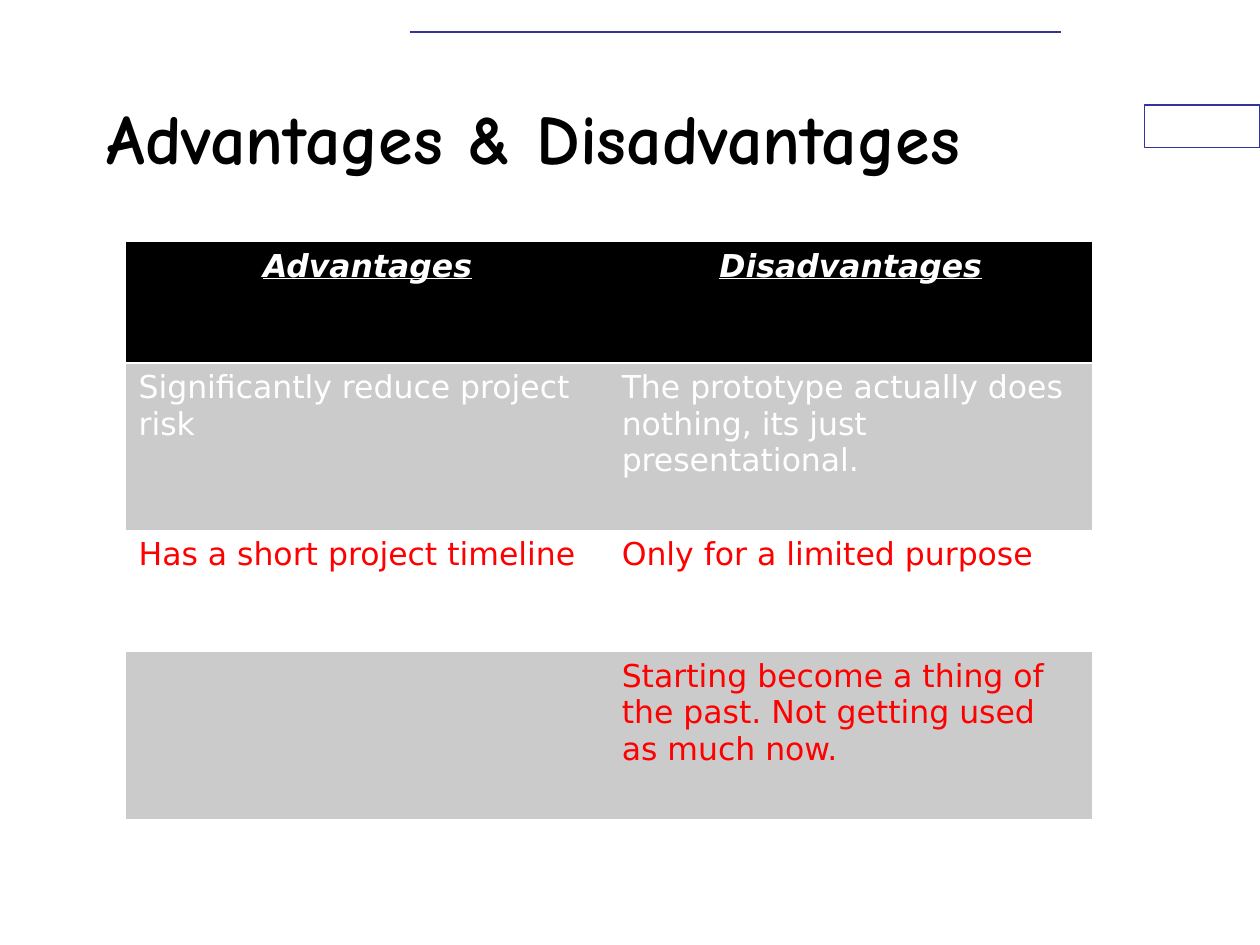
import pptx
import pptx.dml.color
import pptx.enum.shapes
import pptx.enum.text
import pptx.oxml
import pptx.oxml.ns
import pptx.util
from pptx.util import Cm

BLACK = pptx.dml.color.RGBColor(0x00, 0x00, 0x00)
WHITE = pptx.dml.color.RGBColor(0xFF, 0xFF, 0xFF)
GREY = pptx.dml.color.RGBColor(0xCB, 0xCB, 0xCB)
RED = pptx.dml.color.RGBColor(0xFF, 0x00, 0x00)
NAVY = pptx.dml.color.RGBColor(0x33, 0x33, 0x99)

PLAIN_TABLE_STYLE = "{2D5ABB26-0587-4C30-8999-92F81FD0307C}"
TITLE_FORMAT = {"name": "Comic Neue", "size": pptx.util.Pt(40), "bold": True}
HEADER_FORMAT = {"name": "DejaVu Sans", "size": pptx.util.Pt(18),
                 "bold": True, "italic": True, "underline": True}
BODY_FORMAT = {"name": "DejaVu Sans", "size": pptx.util.Pt(18)}

LEFT = pptx.enum.text.PP_ALIGN.LEFT
CENTER = pptx.enum.text.PP_ALIGN.CENTER

ROWS = [
    (("Advantages", "Disadvantages"), 2.45, BLACK, WHITE, HEADER_FORMAT, CENTER),
    (("Significantly reduce project risk",
      "The prototype actually does nothing, its just presentational."),
     3.37, GREY, WHITE, BODY_FORMAT, LEFT),
    (("Has a short project timeline", "Only for a limited purpose"),
     2.45, WHITE, RED, BODY_FORMAT, LEFT),
    (("", "Starting become a thing of the past. Not getting used as much now."),
     3.37, GREY, RED, BODY_FORMAT, LEFT),
]


def write_text(text_frame, text, font_format, color, alignment):
    paragraph = text_frame.paragraphs[0]
    paragraph.alignment = alignment
    run = paragraph.add_run()
    run.text = text
    for attribute, value in font_format.items():
        setattr(run.font, attribute, value)
    run.font.color.rgb = color


def add_border(cell, side):
    border = pptx.oxml.parse_xml(
        f'<a:{side} {pptx.oxml.ns.nsdecls("a")} w="12192"><a:solidFill>'
        f'<a:srgbClr val="{WHITE}"/></a:solidFill></a:{side}>')
    cell._tc.get_or_add_tcPr().insert(0, border)


presentation = pptx.Presentation()
presentation.slide_width = Cm(25.4)
presentation.slide_height = Cm(19.05)
slide = presentation.slides.add_slide(presentation.slide_layouts[5])

corner_box = slide.shapes.add_shape(
    pptx.enum.shapes.MSO_SHAPE.RECTANGLE, Cm(23.07), Cm(2.12), Cm(2.33), Cm(0.85))
corner_box.shadow.inherit = False
corner_box.fill.solid()
corner_box.fill.fore_color.rgb = WHITE
corner_box.line.color.rgb = NAVY
corner_box.line.width = pptx.util.Pt(0.75)

top_line = slide.shapes.add_connector(
    pptx.enum.shapes.MSO_CONNECTOR.STRAIGHT, Cm(8.26), Cm(0.64), Cm(21.38), Cm(0.64))
top_line.line.color.rgb = NAVY
top_line.line.width = pptx.util.Pt(1)
top_line._element.spPr.append(
    pptx.oxml.parse_xml(f'<a:effectLst {pptx.oxml.ns.nsdecls("a")}/>'))

title = slide.shapes.title
title_place = {"left": Cm(1.9), "top": Cm(1.7), "width": Cm(22.23), "height": Cm(2.12)}
for attribute, value in title_place.items():
    setattr(title, attribute, value)
title.text_frame.vertical_anchor = pptx.enum.text.MSO_ANCHOR.MIDDLE
write_text(title.text_frame, "Advantages & Disadvantages", TITLE_FORMAT, BLACK, LEFT)

table = slide.shapes.add_table(
    len(ROWS), 2, Cm(2.54), Cm(4.87), Cm(19.48), Cm(11.64)).table
table._tbl.tblPr.find(pptx.oxml.ns.qn("a:tableStyleId")).text = PLAIN_TABLE_STYLE
for row_index, (texts, height, fill, color, font_format, alignment) in enumerate(ROWS):
    table.rows[row_index].height = Cm(height)
    for column_index, text in enumerate(texts):
        cell = table.cell(row_index, column_index)
        cell.fill.solid()
        cell.fill.fore_color.rgb = fill
        if text:
            write_text(cell.text_frame, text, font_format, color, alignment)
        if row_index < 2:
            add_border(cell, ("lnB", "lnT")[row_index])

presentation.save("out.pptx")
